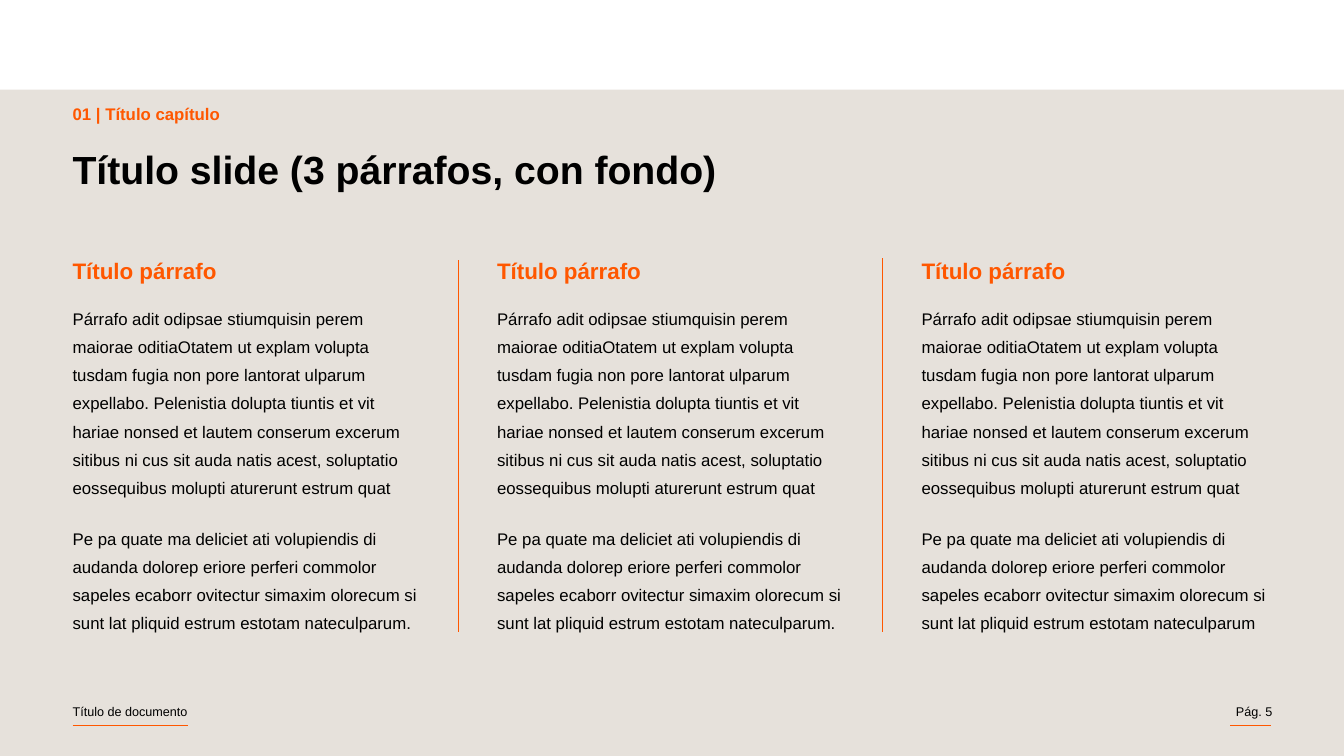
from dataclasses import dataclass

from lxml import etree
from pptx import Presentation
from pptx.dml.color import RGBColor
from pptx.enum.shapes import MSO_CONNECTOR, MSO_SHAPE
from pptx.enum.text import MSO_ANCHOR, PP_ALIGN
from pptx.oxml.ns import qn
from pptx.util import Inches, Pt

STRAIGHT = MSO_CONNECTOR.STRAIGHT
RECTANGLE = MSO_SHAPE.RECTANGLE
TOP = MSO_ANCHOR.TOP
LEFT = PP_ALIGN.LEFT
RIGHT = PP_ALIGN.RIGHT


@dataclass(frozen=True)
class Theme:
    """Colours, font and type sizes of the slide."""
    accent: RGBColor = RGBColor(0xFF, 0x57, 0x00)
    ink: RGBColor = RGBColor(0, 0, 0)
    sand: RGBColor = RGBColor(0xE6, 0xE1, 0xDB)
    font: str = "Arial"
    title: float = 28
    heading: float = 16
    body: float = 12
    footer: float = 9
    rule: float = 0.5


THEME = Theme()
SLIDE_WIDTH, SLIDE_HEIGHT = 13.33, 7.5
MARGIN = 0.72
CONTENT_WIDTH = 11.89
COLUMN_PITCH = 4.21
COLUMN_WIDTH = 3.48

OPENING = (
    "Párrafo adit odipsae stiumquisin perem maiorae oditiaOtatem ut explam "
    "volupta tusdam fugia non pore lantorat ulparum expellabo. Pelenistia "
    "dolupta tiuntis et vit hariae nonsed et lautem conserum excerum sitibus "
    "ni cus sit auda natis acest, soluptatio eossequibus molupti aturerunt "
    "estrum quat"
)
CLOSING = (
    "Pe pa quate ma deliciet ati volupiendis di audanda dolorep eriore perferi "
    "commolor sapeles ecaborr ovitectur simaxim olorecum si sunt lat pliquid "
    "estrum estotam nateculparum"
)
CLOSING_ENDS = (".", ".", "")
DIVIDERS = ((4.55, 2.58), (8.75, 2.56))
DIVIDER_BOTTOM = 6.27


def add_text(slide, box, *paragraphs, size, color=THEME.ink, bold=False,
             align=LEFT, line_spacing=1.0, gap=0):
    """Write paragraphs in a box without insets, with a gap between them."""
    frame = slide.shapes.add_textbox(*map(Inches, box)).text_frame
    frame.word_wrap = True
    frame.vertical_anchor = TOP
    frame.margin_left = frame.margin_right = 0
    frame.margin_top = frame.margin_bottom = 0
    for index, text in enumerate(paragraphs):
        paragraph = frame.add_paragraph() if index else frame.paragraphs[0]
        paragraph.alignment = align
        paragraph.line_spacing = line_spacing
        paragraph.space_before = Pt(gap if index else 0)
        run = paragraph.add_run()
        run.text = text
        run.font.name = THEME.font
        run.font.size = Pt(size)
        run.font.bold = bold
        run.font.color.rgb = color


def add_rule(slide, x1, y1, x2, y2):
    """Draw a thin accent line without shadow."""
    rule = slide.shapes.add_connector(STRAIGHT, *map(Inches, (x1, y1, x2, y2)))
    rule.line.color.rgb = THEME.accent
    rule.line.width = Pt(THEME.rule)
    etree.SubElement(rule._element.spPr, qn("a:effectLst"))


def add_background(slide, box):
    """Fill the content area with the sand colour."""
    panel = slide.shapes.add_shape(RECTANGLE, *map(Inches, box))
    panel.shadow.inherit = False
    panel.fill.solid()
    panel.fill.fore_color.rgb = THEME.sand
    panel.line.fill.background()


def add_header(slide, left, top, width):
    """Place the chapter label above the slide title."""
    add_text(slide, (left, top, 1.92, 0.22), "01 | Título capítulo",
             size=THEME.body, color=THEME.accent, bold=True)
    add_text(slide, (left, top + 0.46, width, 0.51),
             "Título slide (3 párrafos, con fondo)",
             size=THEME.title, bold=True, line_spacing=0.9)


def add_column(slide, left, top, width, closing):
    """Place a heading with its two paragraphs below."""
    add_text(slide, (left, top, 1.92, 0.22), "Título párrafo",
             size=THEME.heading, color=THEME.accent, bold=True)
    add_text(slide, (left, top + 0.43, width, 3.46), OPENING, closing,
             size=THEME.body, line_spacing=1.4, gap=16)


def add_footer(slide, left, top, width):
    """Place the underlined document title and page number."""
    right = left + width
    underline = top + 0.22
    add_rule(slide, left, underline, left + 1.14, underline)
    add_rule(slide, right - 0.41, underline, right, underline)
    add_text(slide, (left, top, 2.75, 0.17), "Título de documento",
             size=THEME.footer)
    add_text(slide, (right - 0.76, top, 0.77, 0.15), "Pág. 5",
             size=THEME.footer, align=RIGHT)


def main():
    """Build the three-column slide and save it."""
    deck = Presentation()
    deck.slide_width = Inches(SLIDE_WIDTH)
    deck.slide_height = Inches(SLIDE_HEIGHT)
    slide = deck.slides.add_slide(deck.slide_layouts[6])
    add_background(slide, (0, 0.89, SLIDE_WIDTH, SLIDE_HEIGHT - 0.89))
    add_footer(slide, MARGIN, 6.98, CONTENT_WIDTH)
    add_header(slide, MARGIN, 1.03, CONTENT_WIDTH)
    for index, ending in enumerate(CLOSING_ENDS):
        add_column(slide, MARGIN + index * COLUMN_PITCH, 2.55, COLUMN_WIDTH,
                   CLOSING + ending)
    for x, top in DIVIDERS:
        add_rule(slide, x, top, x, DIVIDER_BOTTOM)
    deck.save("out.pptx")


if __name__ == "__main__":
    main()
